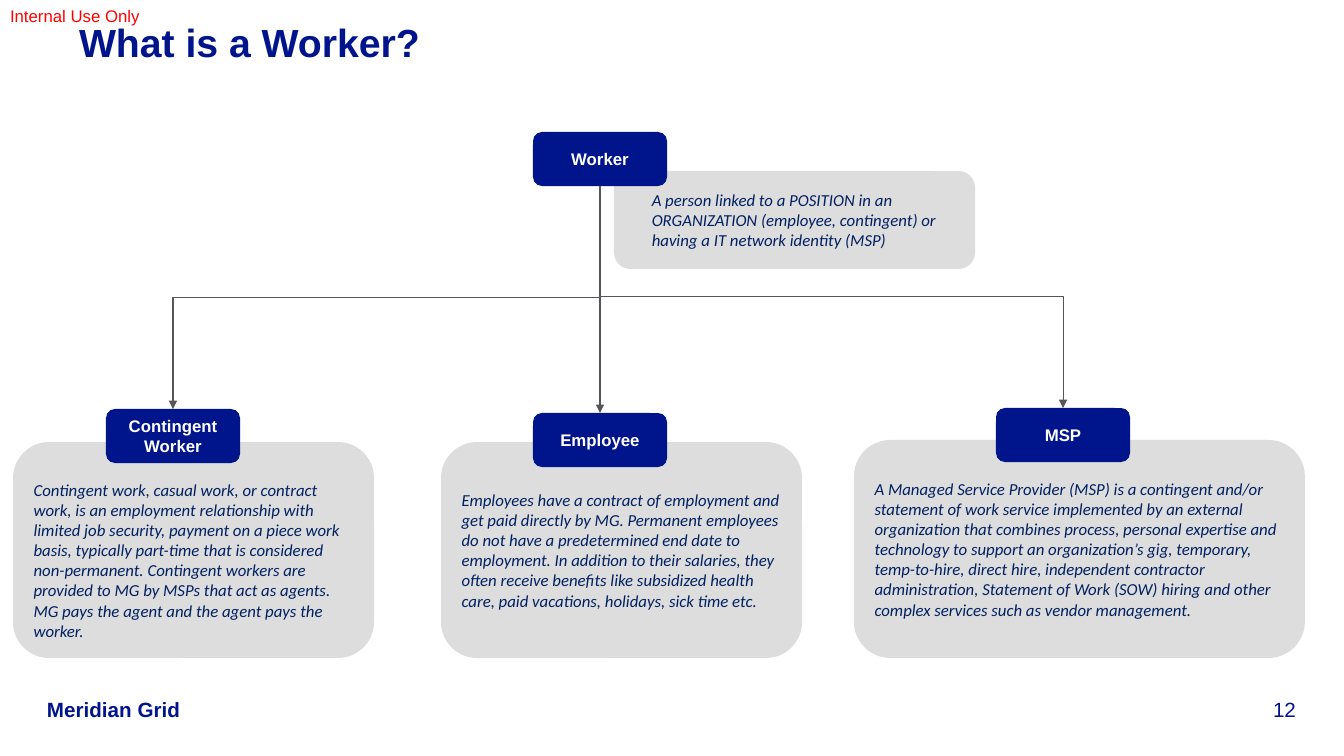
import pptx
import pptx.util
import pptx.dml.color
import pptx.enum.shapes
import pptx.enum.text
import pptx.oxml.ns
import lxml.etree

PX = 914400 / 100.8
NAVY = "00148C"
INK = "002060"
GREY = "DDDDDE"
LINE = "55555A"
WIDE, HIGH = 1344, 756
TAG_W, TAG_H = 134, 54
ALIGN = pptx.enum.text.PP_ALIGN
ANCHOR = pptx.enum.text.MSO_ANCHOR
KIND = pptx.enum.shapes.MSO_CONNECTOR

ROOT = (533, 132)
NOTE = ((614, 171, 361, 98), 33, 5,
        "A person linked to a POSITION in an ORGANIZATION (employee, contingent) "
        "or having a IT network identity (MSP)")
TYPES = [
    ("Contingent Worker", (106, 409), (13, 442, 361, 216), 25,
     "Contingent work, casual work, or contract work, is an employment "
     "relationship with limited job security, payment on a piece work basis, "
     "typically part-time that is considered non-permanent. Contingent workers "
     "are provided to MG by MSPs that act as agents. MG pays the agent and the "
     "agent pays the worker."),
    ("Employee", (533, 413), (441, 442, 361, 216), 5,
     "Employees have a contract of employment and get paid directly by MG. "
     "Permanent employees do not have a predetermined end date to employment. "
     "In addition to their salaries, they often receive benefits like "
     "subsidized health care, paid vacations, holidays, sick time etc."),
    ("MSP", (996, 408), (854, 440, 451, 218), 5,
     "A Managed Service Provider (MSP) is a contingent and/or statement of work "
     "service implemented by an external organization that combines process, "
     "personal expertise and technology to support an organization’s gig, "
     "temporary, temp-to-hire, direct hire, independent contractor "
     "administration, Statement of Work (SOW) hiring and other complex services "
     "such as vendor management."),
]


def emu(*vals):
    return [pptx.util.Emu(round(val * PX)) for val in vals]


def rgb(hue):
    return pptx.dml.color.RGBColor.from_string(hue)


def write(shape, text, size, hue, font="Arial", bold=False, slant=False,
          align=ALIGN.LEFT, anchor=ANCHOR.TOP, pads=(10, 5, 10, 5), after=0):
    frame = shape.text_frame
    frame.word_wrap = True
    frame.vertical_anchor = anchor
    (frame.margin_left, frame.margin_top,
     frame.margin_right, frame.margin_bottom) = emu(*pads)
    para = frame.paragraphs[0]
    para.alignment = align
    para.space_after = pptx.util.Pt(after)
    run = para.add_run()
    run.text = text
    run.font.size = pptx.util.Pt(size)
    run.font.name = font
    run.font.bold = bold
    run.font.italic = slant
    run.font.color.rgb = rgb(hue)


def label(slide, box, text, size, hue, **style):
    write(slide.shapes.add_textbox(*emu(*box)), text, size, hue, **style)


def panel(slide, box, hue):
    kind = pptx.enum.shapes.MSO_SHAPE.ROUNDED_RECTANGLE
    shape = slide.shapes.add_shape(kind, *emu(*box))
    shape.shadow.inherit = False
    shape.fill.solid()
    shape.fill.fore_color.rgb = rgb(hue)
    shape.line.fill.background()
    return shape


def card(slide, box, left, top, text):
    write(panel(slide, box, GREY), text, 12, INK, font="Calibri", slant=True,
          anchor=ANCHOR.MIDDLE, pads=(left, top, 10, 5))


def tag(slide, spot, text):
    write(panel(slide, (*spot, TAG_W, TAG_H), NAVY), text, 12, "FFFFFF",
          bold=True, align=ALIGN.CENTER, anchor=ANCHOR.MIDDLE, after=4.5)


def arrow(slide, start, end):
    (x1, y1), (x2, y2) = start, end
    if x1 == x2:
        link = slide.shapes.add_connector(KIND.STRAIGHT, *emu(x1, y1, x2, y2))
    else:
        midx, midy = (x1 + x2) / 2, (y1 + y2) / 2
        wide, high = y2 - y1, abs(x2 - x1)
        side = 1 if x2 < x1 else -1
        link = slide.shapes.add_connector(KIND.ELBOW, *emu(
            midx - side * wide / 2, midy - high / 2,
            midx + side * wide / 2, midy + high / 2))
        turn = 90 if side == 1 else 270
        form = link._element.spPr.find(pptx.oxml.ns.qn("a:xfrm"))
        form.set("rot", str(turn * 60000))
    link.line.color.rgb = rgb(LINE)
    link.line.width = pptx.util.Pt(0.75)
    tip = lxml.etree.SubElement(link.line._get_or_add_ln(),
                                pptx.oxml.ns.qn("a:tailEnd"))
    tip.set("type", "triangle")
    lxml.etree.SubElement(link._element.spPr, pptx.oxml.ns.qn("a:effectLst"))


def footer(slide, box):
    left, top, wide, high = box
    flat = dict(anchor=ANCHOR.BOTTOM, pads=(0, 0, 0, 0))
    label(slide, (left + wide - 79, top, 79, high), "12", 14.7, NAVY,
          align=ALIGN.RIGHT, **flat)
    label(slide, (left, top, 160, high), "Meridian Grid", 14.7, NAVY,
          bold=True, **flat)


def header(slide, box):
    left, top, wide, high = box
    label(slide, (left + 79, top + 17, wide - 130, 46), "What is a Worker?",
          28, NAVY, bold=True, pads=(0, 0, 0, 0))
    label(slide, (left, top, 241, 30), "Internal Use Only", 12, "FF0000")


def chart(slide):
    card(slide, *NOTE)
    for name, spot, box, top, text in TYPES:
        card(slide, box, 10, top, text)
    tag(slide, ROOT, "Worker")
    start = (ROOT[0] + TAG_W / 2, ROOT[1] + TAG_H)
    for name, spot, *rest in TYPES:
        tag(slide, spot, name)
        arrow(slide, start, (spot[0] + TAG_W / 2, spot[1]))


def main():
    deck = pptx.Presentation()
    deck.slide_width, deck.slide_height = emu(WIDE, HIGH)
    slide = deck.slides.add_slide(deck.slide_layouts[6])
    footer(slide, (47, 697, 1249, 25))
    chart(slide)
    header(slide, (0, 1, WIDE, 64))
    deck.save("out.pptx")


if __name__ == "__main__":
    main()
